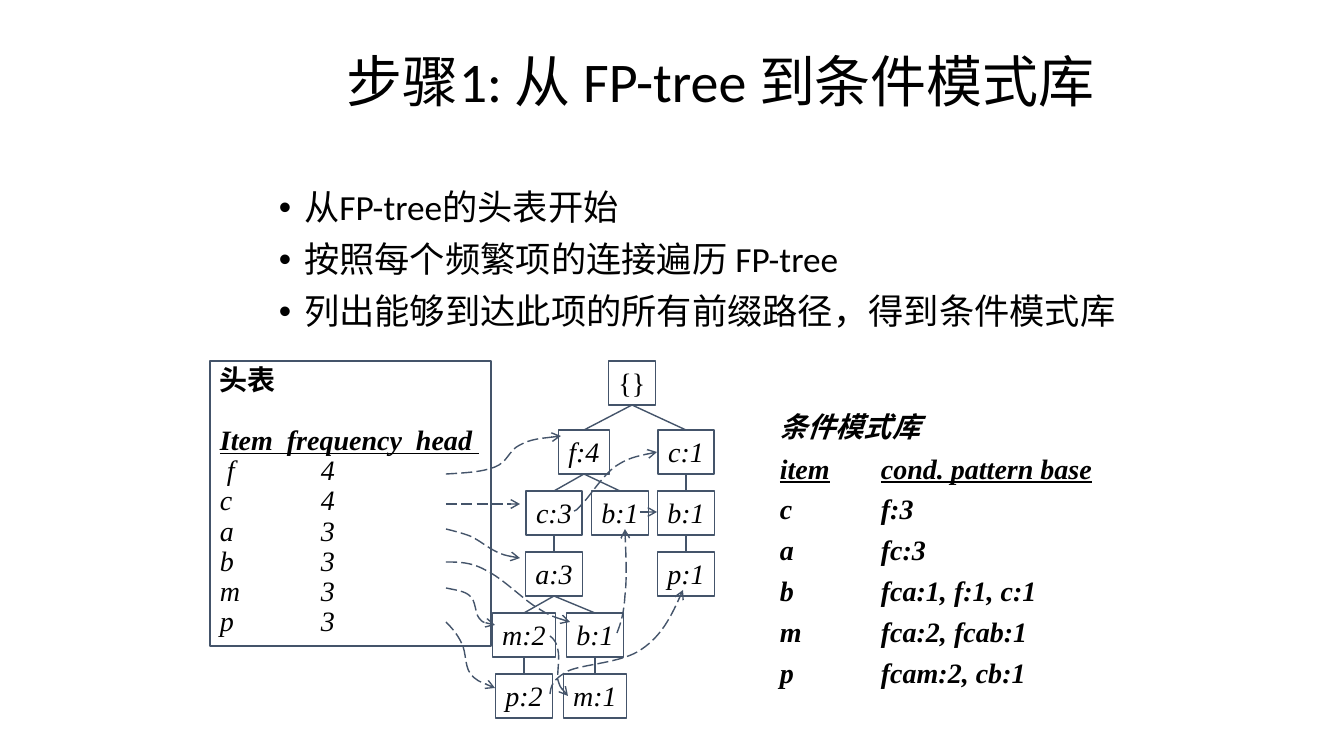
from dataclasses import dataclass

from lxml import etree
from pptx import Presentation
from pptx.dml.color import RGBColor
from pptx.enum.dml import MSO_LINE
from pptx.enum.shapes import MSO_CONNECTOR, MSO_SHAPE
from pptx.enum.text import MSO_ANCHOR, PP_ALIGN
from pptx.oxml.ns import qn
from pptx.util import Emu, Pt

STRAIGHT = MSO_CONNECTOR.STRAIGHT
RECTANGLE = MSO_SHAPE.RECTANGLE
LONG_DASH = MSO_LINE.LONG_DASH
TOP, MIDDLE = MSO_ANCHOR.TOP, MSO_ANCHOR.MIDDLE
LEFT, CENTER = PP_ALIGN.LEFT, PP_ALIGN.CENTER
PX = 914400 / 100.8
SECOND_COLUMN = 101


@dataclass(frozen=True)
class Theme:
    """Colours, fonts and type sizes of the slide."""
    ink: RGBColor = RGBColor(0, 0, 0)
    rule: RGBColor = RGBColor(0x44, 0x54, 0x6A)
    sans: str = "Calibri"
    serif: str = "Times New Roman"
    title: float = 40
    body: float = 25.2
    label: float = 20
    hairline: float = 1


THEME = Theme()
TITLE = "步骤1: 从 FP-tree 到条件模式库"
STEPS = ["从FP-tree的头表开始", "按照每个频繁项的连接遍历 FP-tree",
         "列出能够到达此项的所有前缀路径，得到条件模式库"]
HEADER_ROWS = ["头表", "Item  frequency  head ", " f\t4", "c\t4", "a\t3", "b\t3", "m\t3", "p\t3"]
PATTERN_ROWS = ["条件模式库", "item\tcond. pattern base", "c\tf:3", "a\tfc:3",
                "b\tfca:1, f:1, c:1", "m\tfca:2, fcab:1", "p\tfcam:2, cb:1"]

NODE_WIDTHS = {"{": 47, "f": 51, "c": 56, "m": 63}
NODE_HEIGHT, FIRST_ROW, ROW_PITCH = 44, 69, 61
# label, centre, row, index of the parent node
NODES = [("{}", 422, 0, None), ("f:4", 374, 1, 0), ("c:1", 476, 1, 0),
         ("c:3", 344, 2, 1), ("b:1", 410, 2, 1), ("b:1", 476, 2, 2),
         ("a:3", 344, 3, 3), ("p:1", 476, 3, 5), ("m:2", 314, 4, 6),
         ("b:1", 385, 4, 6), ("p:2", 314, 5, 8), ("m:1", 385, 5, 9)]

STRAIGHT_LINKS = [((236, 143), (310, 143)), ((430, 151), (447, 151))]
CURVED_LINKS = [
    [(236, 113), (254, 112), (273, 111), (285, 106), (298, 101), (299, 89), (310, 84),
     (321, 78), (336, 77), (351, 75)],
    [(364, 150), (365, 150), (366, 150), (373, 142), (380, 135), (393, 114), (406, 105),
     (418, 97), (432, 94), (447, 91)],
    [(236, 168), (244, 170), (252, 172), (260, 175), (269, 179), (277, 186), (285, 190),
     (293, 194), (302, 196), (310, 197)],
    [(236, 201), (249, 201), (262, 201), (277, 210), (292, 217), (313, 238), (326, 246),
     (340, 255), (350, 258), (360, 261)],
    [(407, 272), (411, 262), (414, 252), (415, 235), (417, 218), (416, 193), (415, 168)],
    [(236, 227), (245, 229), (255, 230), (260, 235), (266, 240), (265, 252), (269, 257),
     (273, 262), (279, 263), (285, 264)],
    [(340, 275), (344, 278), (347, 282), (348, 289), (350, 297), (347, 312), (348, 319),
     (350, 326), (353, 330), (358, 335)],
    [(236, 261), (242, 267), (248, 274), (252, 283), (256, 291), (255, 305), (260, 312),
     (266, 320), (276, 323), (285, 327)],
    [(340, 333), (341, 325), (342, 319), (358, 310), (373, 303), (413, 302), (432, 288),
     (451, 275), (463, 252), (473, 229)],
]


def emu(*pixels):
    """Turn pixels into EMU."""
    return [Emu(round(p * PX)) for p in pixels]


def write(shape, lines, font, size, anchor=TOP, align=LEFT, wrap=True, spacing=1.0,
          before=0, bold=False, italic=False):
    """Fill a shape with evenly formatted paragraphs and return them."""
    frame = shape.text_frame
    frame.text = "\n".join(lines)
    frame.word_wrap = wrap
    frame.vertical_anchor = anchor
    for line in frame.paragraphs:
        line.alignment = align
        line.line_spacing = spacing
        line.space_before = Pt(before)
        style = line.runs[0].font
        style.name, style.size = font, Pt(size)
        style.bold, style.italic = bold, italic
        style.color.rgb = THEME.ink
    return frame.paragraphs


def align_columns(rows):
    """Start the second column of every row at one tab stop."""
    for row in rows:
        stops = etree.SubElement(row._p.get_or_add_pPr(), qn("a:tabLst"))
        etree.SubElement(stops, qn("a:tab"), pos=str(emu(SECOND_COLUMN)[0]), algn="l")


def outline(shape):
    """Give a shape the thin slate line."""
    shape.line.color.rgb = THEME.rule
    shape.line.width = Pt(THEME.hairline)


def frame_box(slide, box):
    """Add an unfilled outlined rectangle."""
    rect = slide.shapes.add_shape(RECTANGLE, *emu(*box))
    rect.shadow.inherit = False
    rect.fill.background()
    outline(rect)
    return rect


def straight(slide, start, end):
    """Add a plain straight line without a shadow."""
    line = slide.shapes.add_connector(STRAIGHT, *emu(*start, *end))
    outline(line)
    etree.SubElement(line._element.spPr, qn("a:effectLst"))
    return line


def dash_arrow(link):
    """Make a line long-dashed with an open arrowhead at its end."""
    link.line.dash_style = LONG_DASH
    etree.SubElement(link.line._get_or_add_ln(), qn("a:tailEnd"), type="arrow")


def curve(slide, points):
    """Add an open chain of cubic curves through every third point."""
    builder = slide.shapes.build_freeform(*points[0], scale=PX)
    builder.add_line_segments(points[1:], close=False)
    link = builder.convert_to_shape()
    link.shadow.inherit = False
    link.fill.background()
    outline(link)
    segments = list(link._element.iter(qn("a:lnTo")))
    for i in range(0, len(segments), 3):
        bend = etree.Element(qn("a:cubicBezTo"))
        segments[i].addprevious(bend)
        for segment in segments[i:i + 3]:
            bend.append(segment[0])
            segment.getparent().remove(segment)
    return link


def add_title(slide, box):
    """Place the slide title."""
    heading = slide.shapes.add_textbox(*emu(*box))
    write(heading, [TITLE], THEME.sans, THEME.title, anchor=MIDDLE, spacing=0.9)


def add_steps(slide, box):
    """Place the bulleted steps."""
    steps = slide.shapes.add_textbox(*emu(*box))
    for step in write(steps, STEPS, THEME.sans, THEME.body, spacing=0.9, before=10):
        props = step._p.get_or_add_pPr()
        props.set("marL", "228600")
        props.set("indent", "-228600")
        etree.SubElement(props, qn("a:buFont"), typeface="Arial")
        etree.SubElement(props, qn("a:buChar"), char="•")


def add_header_table(slide, box):
    """Place the framed header table of items and frequencies."""
    rows = write(frame_box(slide, box), HEADER_ROWS, THEME.serif, THEME.label,
                 spacing=0.9, italic=True)
    caption, columns = rows[0].runs[0].font, rows[1].runs[0].font
    caption.bold, caption.italic = True, False
    columns.bold = columns.underline = True
    rows[1].space_before = Pt(21.5)
    align_columns(rows[2:])


def add_pattern_base(slide, box):
    """Place the list of conditional pattern bases."""
    bases = slide.shapes.add_textbox(*emu(*box))
    rows = write(bases, PATTERN_ROWS, THEME.serif, THEME.label, spacing=0.8, before=10,
                 bold=True, italic=True)
    rows[0].line_spacing = 1.0
    rows[1].runs[0].font.underline = True
    align_columns(rows[1:])


def add_tree(slide, box):
    """Place the tree nodes and the edges to their parents."""
    left, top = box[:2]
    tops = [top] + [top + FIRST_ROW + ROW_PITCH * row for row in range(5)]
    for label, centre, row, parent in NODES:
        width = NODE_WIDTHS.get(label[0], 57)
        node = frame_box(slide, (left + centre - width / 2, tops[row], width, NODE_HEIGHT))
        write(node, [label], THEME.serif, THEME.label, align=CENTER, wrap=False,
              italic=label != "{}")
        if parent is not None:
            _, parent_centre, parent_row, _ = NODES[parent]
            straight(slide, (left + parent_centre, tops[parent_row] + NODE_HEIGHT),
                     (left + centre, tops[row]))


def add_node_links(slide, box):
    """Place the dashed links from the header table through equal items."""
    def shift(points):
        """Move points into the box."""
        return [(box[0] + x, box[1] + y) for x, y in points]

    for ends in STRAIGHT_LINKS:
        dash_arrow(straight(slide, *shift(ends)))
    for points in CURVED_LINKS:
        dash_arrow(curve(slide, shift(points)))


def main():
    """Build and save the slide."""
    deck = Presentation()
    deck.slide_width, deck.slide_height = emu(1344, 756)
    slide = deck.slides.add_slide(deck.slide_layouts[6])
    diagram = (210, 361, 508, 356)
    add_title(slide, (337, 25, 806, 118))
    add_steps(slide, (269, 185, 871, 159))
    add_pattern_base(slide, (770, 405, 367, 308))
    add_tree(slide, diagram)
    add_header_table(slide, (210, 361, 281, 285))
    add_node_links(slide, diagram)
    deck.save("out.pptx")


main()
